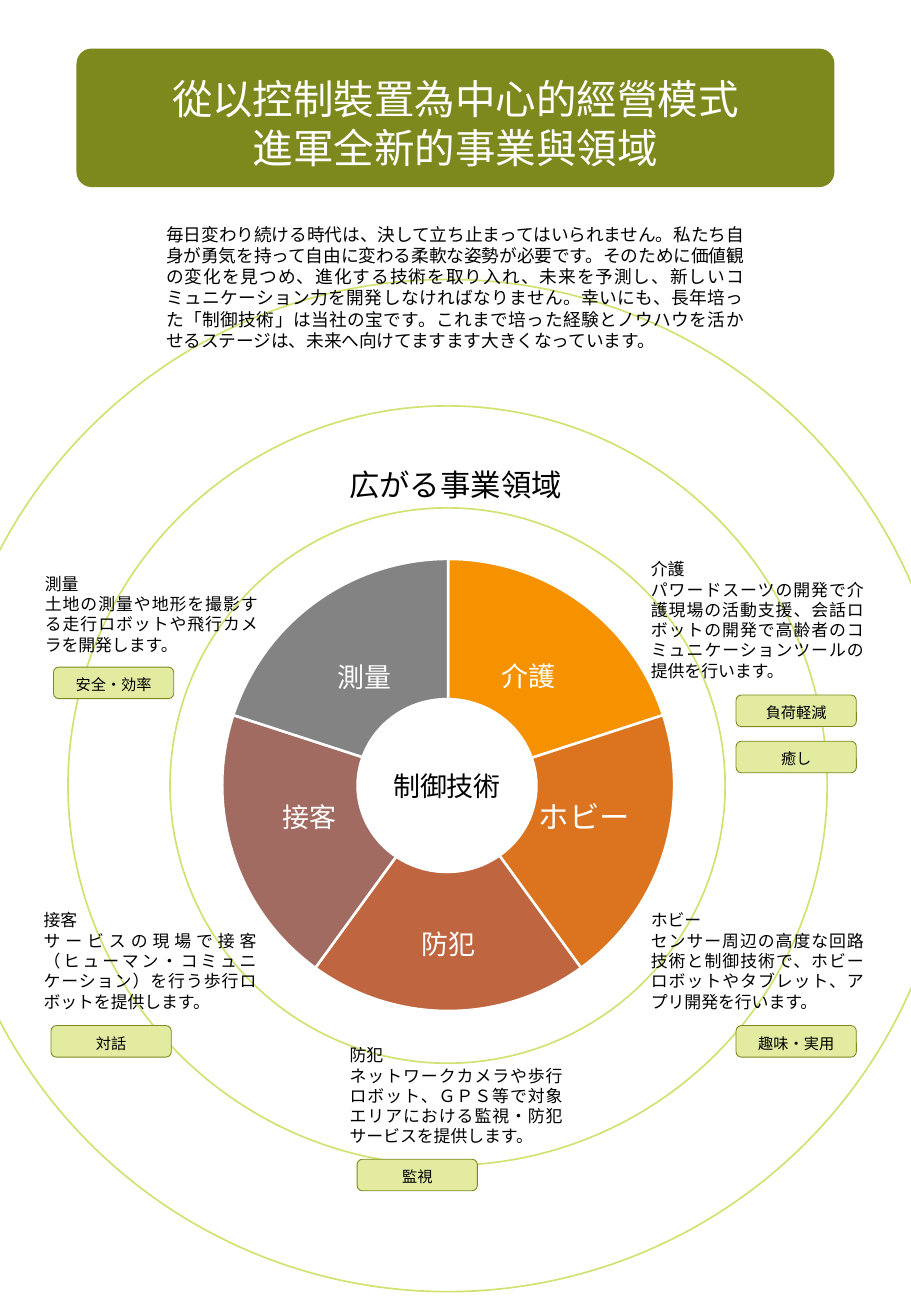
from lxml import etree
from pptx import Presentation
from pptx.dml.color import RGBColor
from pptx.enum import shapes, text
from pptx.oxml import ns
from pptx.util import Inches, Pt

FONT = "Noto Sans CJK JP"
WHITE = RGBColor(0xFF, 0xFF, 0xFF)
BLACK = RGBColor(0, 0, 0)
OLIVE = RGBColor(0x7D, 0x89, 0x1D)
LIME = RGBColor(0xD3, 0xE1, 0x71)
PALE_LIME = RGBColor(0xE2, 0xEB, 0xA0)
ORANGE = RGBColor(0xF6, 0x92, 0x00)
DARK_ORANGE = RGBColor(0xDB, 0x73, 0x1F)
RUST = RGBColor(0xBF, 0x65, 0x40)
MAUVE = RGBColor(0xA1, 0x6B, 0x62)
GRAY = RGBColor(0x83, 0x83, 0x83)

CENTER, JUSTIFY = text.PP_ALIGN.CENTER, text.PP_ALIGN.JUSTIFY
KIND = shapes.MSO_SHAPE

TITLE = "從以控制裝置為中心的經營模式\v進軍全新的事業與領域"
INTRO = (
    "毎日変わり続ける時代は、決して立ち止まってはいられません。"
    "私たち自身が勇気を持って自由に変わる柔軟な姿勢が必要です。"
    "そのために価値観の変化を見つめ、進化する技術を取り入れ、未来を予測し、"
    "新しいコミュニケーション力を開発しなければなりません。"
    "幸いにも、長年培った「制御技術」は当社の宝です。"
    "これまで培った経験とノウハウを活かせるステージは、"
    "未来へ向けてますます大きくなっています。"
)
HEADING = "広がる事業領域"
CORE = "制御技術"

# Left, top and diameter
RINGS = [(1.4, 4.18, 4.57), (0.56, 3.34, 6.25), (-0.48, 2.3, 8.33)]

# Clockwise from the top: name, colour, text size, centre of the label
SLICES = [
    ("介護", ORANGE, 16, (4.35, 5.58)),
    ("ホビー", DARK_ORANGE, 18, (4.81, 6.74)),
    ("防犯", RUST, 16, (3.69, 7.78)),
    ("接客", MAUVE, 16, (2.55, 6.74)),
    ("測量", GRAY, 16, (3.0, 5.59)),
]

# Name, description, left, top, height
AREAS = [
    ("介護", "パワードスーツの開発で介護現場の活動支援、会話ロボットの開発で"
     "高齢者のコミュニケーションツールの提供を行います。", 5.26, 4.55, 1.11),
    ("ホビー", "センサー周辺の高度な回路技術と制御技術で、"
     "ホビーロボットやタブレット、アプリ開発を行います。", 5.26, 7.44, 0.94),
    ("測量", "土地の測量や地形を撮影する走行ロボットや飛行カメラを開発します。",
     0.27, 4.67, 0.77),
    ("接客", "サービスの現場で接客（ヒューマン・コミュニケーション）を行う"
     "歩行ロボットを提供します。", 0.26, 7.44, 0.94),
    ("防犯", "ネットワークカメラや歩行ロボット、ＧＰＳ等で対象エリアにおける"
     "監視・防犯サービスを提供します。", 2.78, 8.55, 0.94),
]

# Label, left, top
TAGS = [
    ("安全・効率", 0.44, 5.49),
    ("対話", 0.42, 8.44),
    ("負荷軽減", 6.06, 5.72),
    ("趣味・実用", 6.06, 8.44),
    ("癒し", 6.06, 6.1),
    ("監視", 2.94, 9.54),
]

PIE = (1.83, 4.6, 3.72, 3.72)
LABEL_SIZE = (1.2, 0.86)
AREA_WIDTH = 1.95
TAG_SIZE = (0.99, 0.26)
ANGLE_UNIT = 0.6  # adjustment value of one degree

presentation = Presentation()
presentation.slide_width, presentation.slide_height = Inches(7.5), Inches(10.83)
slide = presentation.slides.add_slide(presentation.slide_layouts[6])


def write(shape, lines, size, color, align, spacing=None, **frame_format):
    frame = shape.text_frame
    frame.word_wrap = True
    for name, value in frame_format.items():
        setattr(frame, name, value)
    for index, line in enumerate(lines):
        paragraph = frame.add_paragraph() if index else frame.paragraphs[0]
        paragraph.text = line
        paragraph.alignment = align
        if spacing:
            paragraph.line_spacing = spacing
        for run in paragraph.runs:
            for name, value in {"size": Pt(size), "name": FONT}.items():
                setattr(run.font, name, value)
            run.font.color.rgb = color
            properties = run._r.get_or_add_rPr()
            etree.SubElement(properties, ns.qn("a:ea"), typeface=FONT)


def insets(side, top=None):
    """Frame format with equal margins, and another one at the top if given."""
    margins = {f"margin_{name}": Inches(side) for name in ("left", "right", "bottom")}
    margins["margin_top"] = Inches(side if top is None else top)
    return {"vertical_anchor": text.MSO_ANCHOR.MIDDLE, **margins}


def add_shape(kind, box, fill=None, line=None, width=1):
    shape = slide.shapes.add_shape(kind, *map(Inches, box))
    shape.shadow.inherit = False
    for target, color in ((shape.fill, fill), (shape.line.fill, line)):
        if color is None:
            target.background()
        else:
            target.solid()
            target.fore_color.rgb = color
    if line is not None:
        shape.line.width = Pt(width)
    return shape


def add_text(box, lines, size, align, color=BLACK, **options):
    textbox = slide.shapes.add_textbox(*map(Inches, box))
    write(textbox, lines, size, color, align, **options)


for left, top, diameter in RINGS:
    add_shape(KIND.OVAL, (left, top, diameter, diameter), line=LIME)

banner = add_shape(KIND.ROUNDED_RECTANGLE, (0.63, 0.4, 6.24, 1.14), OLIVE)
banner.adjustments[0] = 0.11
write(banner, [TITLE], 24, WHITE, CENTER, **insets(0, 0.08))

sweep = 360 / len(SLICES)
for index, (name, color, size, (x, y)) in enumerate(SLICES):
    pie_slice = add_shape(KIND.PIE, PIE, color, WHITE, 1.5)
    for side in (0, 1):
        angle = (270 + (index + side) * sweep) % 360
        pie_slice.adjustments[side] = angle * ANGLE_UNIT
    width, height = LABEL_SIZE
    add_text((x - width / 2, y - height / 2, width, height), [name], size,
             CENTER, WHITE, spacing=0.9, **insets(0.02))

core = add_shape(KIND.OVAL, (2.94, 5.75, 1.48, 1.43), WHITE, WHITE)
write(core, [CORE], 16, BLACK, CENTER, **insets(0))

for name, description, left, top, height in AREAS:
    add_text((left, top, AREA_WIDTH, height), [name, description], 10, JUSTIFY)

add_text((2.51, 3.79, 2.48, 0.4), [HEADING], 18, CENTER)
add_text((1.27, 1.79, 4.96, 1.16), [INTRO], 10.5, JUSTIFY)

for label, left, top in TAGS:
    tag = add_shape(KIND.ROUNDED_RECTANGLE, (left, top, *TAG_SIZE), PALE_LIME, OLIVE, 0.5)
    write(tag, [label], 9, BLACK, CENTER, **insets(0, 0.03))

presentation.save("out.pptx")
